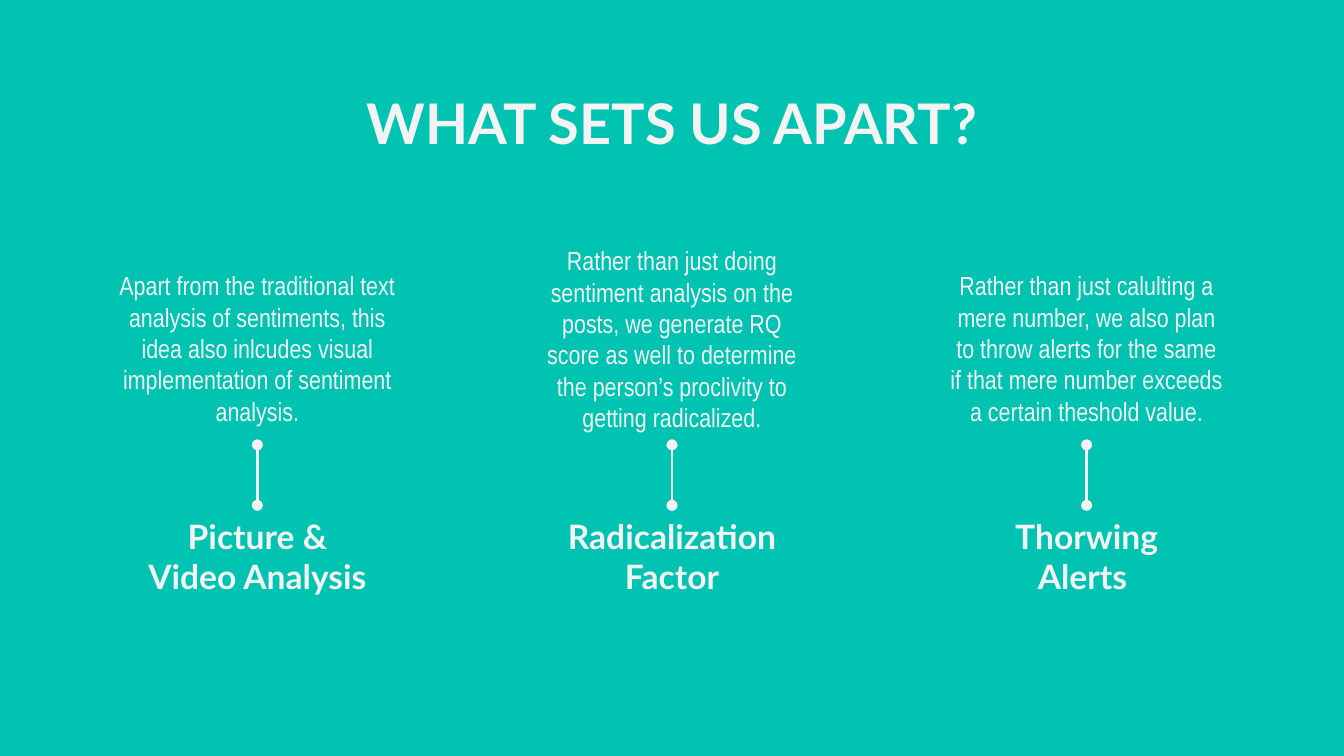
"""Build a slide with three points that set the project apart."""
import pptx
import pptx.dml.color
import pptx.enum.shapes
import pptx.enum.text
import pptx.oxml
import pptx.oxml.ns
import pptx.util

Inches = pptx.util.Inches
Pt = pptx.util.Pt
TEAL = "00C3B1"
PALE = "F3F3F3"


def rgb(value):
    return pptx.dml.color.RGBColor.from_string(value)


class Deck:
    def __init__(self, width, height):
        self.prs = pptx.Presentation()
        self.prs.slide_width = Inches(width)
        self.prs.slide_height = Inches(height)
        self.slide = self.prs.slides.add_slide(self.prs.slide_layouts[6])
        fill = self.slide.background.fill
        fill.solid()
        fill.fore_color.rgb = rgb(TEAL)

    def text(self, text, left, top, width, height, size, font="Lato", bold=True,
             inset=0.1, anchor=pptx.enum.text.MSO_ANCHOR.MIDDLE):
        sp = self.slide.shapes.add_textbox(
            Inches(left), Inches(top), Inches(width), Inches(height))
        tf = sp.text_frame
        tf.word_wrap = True
        tf.vertical_anchor = anchor
        tf.margin_left = tf.margin_right = Inches(inset)
        tf.margin_top = tf.margin_bottom = Inches(inset)
        p = tf.paragraphs[0]
        p.text = text
        p.alignment = pptx.enum.text.PP_ALIGN.CENTER
        p.font.name = font
        p.font.size = Pt(size)
        p.font.bold = bold
        p.font.color.rgb = rgb(PALE)
        return sp

    def link(self, upper, lower):
        line = self.slide.shapes.add_connector(
            pptx.enum.shapes.MSO_CONNECTOR.STRAIGHT, 0, 0, 0, 0)
        line.begin_connect(upper, 2)
        line.end_connect(lower, 0)
        line.line.color.rgb = rgb(PALE)
        line.line.width = Pt(1.5)
        ln = line.line._get_or_add_ln()
        for tag in ("a:headEnd", "a:tailEnd"):
            end = pptx.oxml.parse_xml(f'<{tag} {pptx.oxml.ns.nsdecls("a")} type="oval"/>')
            ln.append(end)
        effects = pptx.oxml.parse_xml(f'<a:effectLst {pptx.oxml.ns.nsdecls("a")}/>')
        ln.addnext(effects)


POINTS = [
    ("Picture & Video Analysis", 1.87,
     "Apart from the traditional text analysis of sentiments, this idea also "
     "inlcudes visual implementation of sentiment analysis."),
    ("Radicalization Factor", 1.73,
     "Rather than just doing sentiment analysis on the posts, we generate RQ score "
     "as well to determine the person’s proclivity to getting radicalized."),
    ("Thorwing Alerts ", 1.87,
     "Rather than just calulting a mere number, we also plan to throw alerts for "
     "the same if that mere number exceeds a certain theshold value."),
]
WIDTH = 10
MARGIN = 0.79
BODY_WIDTH, BODY_BOTTOM = 2.25, 3.31
HEADING_WIDTH, HEADING_TOP = 1.68, 3.76
PITCH = (WIDTH - 2 * MARGIN - BODY_WIDTH) / 2


def main():
    deck = Deck(WIDTH, WIDTH * 9 / 16)
    deck.text("WHAT SETS US APART?", MARGIN, 0.56, WIDTH - 2 * MARGIN, 0.63, 30,
              anchor=pptx.enum.text.MSO_ANCHOR.TOP)
    for i, (heading, top, body) in enumerate(POINTS):
        center = WIDTH / 2 + PITCH * (i - 1)
        upper = deck.text(body, center - BODY_WIDTH / 2, top, BODY_WIDTH,
                          BODY_BOTTOM - top, 14, font="Arial Narrow", bold=False)
        lower = deck.text(heading, center - HEADING_WIDTH / 2, HEADING_TOP,
                          HEADING_WIDTH, 0.75, 18, inset=0)
        deck.link(upper, lower)
    deck.prs.save("out.pptx")


if __name__ == "__main__":
    main()
